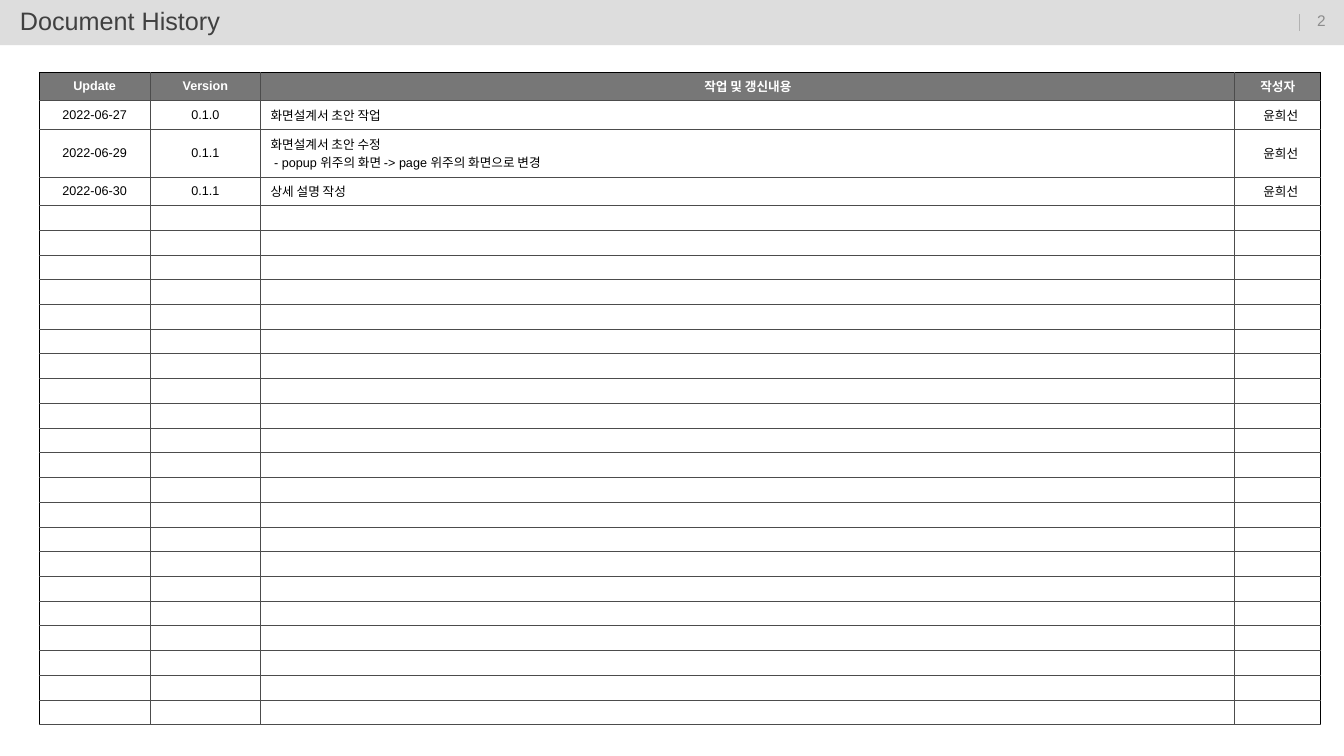
from lxml.etree import SubElement
from pptx import Presentation
from pptx.dml.color import RGBColor
from pptx.enum.shapes import MSO_CONNECTOR, MSO_SHAPE
from pptx.enum.text import MSO_ANCHOR, MSO_AUTO_SIZE, PP_ALIGN
from pptx.oxml.ns import qn
from pptx.util import Cm, Pt

BLACK = RGBColor(0x00, 0x00, 0x00)
WHITE = RGBColor(0xFF, 0xFF, 0xFF)
BAR = RGBColor(0xDD, 0xDD, 0xDD)
DIVIDER = RGBColor(0xB2, 0xB2, 0xB2)
PAGE = RGBColor(0x8C, 0x8C, 0x8C)
TITLE = RGBColor(0x40, 0x40, 0x40)
HEAD = RGBColor(0x77, 0x77, 0x77)
GRID = RGBColor(0x4C, 0x4C, 0x4C)

WIDTH, HEIGHT, BAR_HEIGHT = 33.87, 19.05, 1.14
COLUMNS = [2.79, 2.79, 24.55, 2.16]
HEADINGS = ["Update", "Version", "작업 및 갱신내용", "작성자"]
HISTORY = [
    ["2022-06-27", "0.1.0", "화면설계서 초안 작업", "윤희선"],
    ["2022-06-29", "0.1.1",
     "화면설계서 초안 수정\n - popup 위주의 화면 -> page 위주의 화면으로 변경", "윤희선"],
    ["2022-06-30", "0.1.1", "상세 설명 작성", "윤희선"],
]
BLANK_ROWS = 21
ROW_HEIGHTS = [0.72, 0.72, 1.2, 0.72] + [0.62] * BLANK_ROWS


class SlideBuilder:
    font = "Arial"
    line_width = Pt(0.75)
    text_size = 9

    def __init__(self, prs):
        self.s = prs.slides.add_slide(prs.slide_layouts[5])

    def run(self, p, text, size, color, bold=False):
        r = p.add_run()
        r.text = text
        r.font.name = self.font
        r.font.size = Pt(size)
        r.font.bold = bold
        r.font.color.rgb = color

    def bar(self, x, y, w, h, color):
        sp = self.s.shapes.add_shape(MSO_SHAPE.RECTANGLE, Cm(x), Cm(y), Cm(w), Cm(h))
        sp.shadow.inherit = False
        sp.fill.solid()
        sp.fill.fore_color.rgb = color
        sp.line.fill.background()
        # Send behind the title placeholder
        self.s.shapes.element.insert(2, sp.element)

    def title(self, text, x, y, w, h):
        sp = self.s.shapes.title
        sp.left, sp.top, sp.width, sp.height = Cm(x), Cm(y), Cm(w), Cm(h)
        tf = sp.text_frame
        tf.word_wrap = True
        tf.auto_size = MSO_AUTO_SIZE.NONE
        tf.vertical_anchor = MSO_ANCHOR.MIDDLE
        tf.margin_left, tf.margin_right = Cm(0.5), Cm(0.25)
        tf.margin_top = tf.margin_bottom = Cm(0.13)
        p = tf.paragraphs[0]
        p.alignment = PP_ALIGN.LEFT
        p.line_spacing = 0.9
        p.space_before = Pt(10)
        self.run(p, text, 18, TITLE)

    def line(self, x1, y1, x2, y2, color):
        c = self.s.shapes.add_connector(
            MSO_CONNECTOR.STRAIGHT, Cm(x1), Cm(y1), Cm(x2), Cm(y2))
        c.line.color.rgb = color
        c.line.width = self.line_width
        SubElement(c.element.spPr, qn("a:effectLst"))

    def text(self, text, x, y, w, h, size, color):
        tf = self.s.shapes.add_textbox(Cm(x), Cm(y), Cm(w), Cm(h)).text_frame
        tf.word_wrap = True
        tf.vertical_anchor = MSO_ANCHOR.MIDDLE
        p = tf.paragraphs[0]
        p.alignment = PP_ALIGN.CENTER
        self.run(p, text, size, color)

    def table(self, x, y, widths, heights, rows):
        table = self.s.shapes.add_table(
            len(heights), len(widths), Cm(x), Cm(y),
            Cm(sum(widths)), Cm(sum(heights))).table
        table.first_row = table.horz_banding = False
        for column, width in zip(table.columns, widths):
            column.width = Cm(width)
        last = len(widths) - 1
        for i, (height, texts) in enumerate(zip(heights, rows)):
            table.rows[i].height = Cm(height)
            for j, text in enumerate(texts):
                cell = table.cell(i, j)
                self.borders(cell, {"L": BLACK if j == 0 else GRID,
                                    "R": BLACK if j == last else GRID,
                                    "T": BLACK if i == 0 else GRID,
                                    "B": GRID})
                self.cell(cell, text, i == 0, j)

    def cell(self, cell, text, is_head, column):
        cell.vertical_anchor = MSO_ANCHOR.MIDDLE
        is_author = column == 3 and not is_head and text
        cell.margin_left = cell.margin_right = Cm(0 if is_author else 0.25)
        cell.margin_top = cell.margin_bottom = Cm(0 if column == 3 else 0.12)
        if is_head:
            cell.fill.solid()
            cell.fill.fore_color.rgb = HEAD
        else:
            cell.fill.background()
        tf = cell.text_frame
        for n, line in enumerate(text.split("\n")):
            p = tf.add_paragraph() if n else tf.paragraphs[0]
            centred = is_head or column != 2
            p.alignment = PP_ALIGN.CENTER if centred else PP_ALIGN.LEFT
            if is_author:
                pPr = p._p.get_or_add_pPr()
                pPr.set("marL", str(Cm(0.23)))
                pPr.set("indent", str(Cm(-0.08)))
            if line:
                self.run(p, line, self.text_size, WHITE if is_head else BLACK, is_head)
            else:
                # Keeps blank rows as low as the text size allows
                SubElement(p._p, qn("a:endParaRPr"), sz=str(self.text_size * 100))

    def borders(self, cell, colors):
        tcPr = cell._tc.get_or_add_tcPr()
        for side, color in colors.items():
            ln = SubElement(tcPr, qn(f"a:ln{side}"), w=str(self.line_width))
            fill = SubElement(ln, qn("a:solidFill"))
            SubElement(fill, qn("a:srgbClr"), val=str(color))


def main():
    prs = Presentation()
    prs.slide_width, prs.slide_height = Cm(WIDTH), Cm(HEIGHT)
    slide = SlideBuilder(prs)

    # Header band with title and page number
    slide.bar(0, 0, WIDTH, BAR_HEIGHT, BAR)
    slide.title("Document History", 0, 0, 30.5, BAR_HEIGHT)
    slide.line(32.74, 0.36, 32.74, 0.79, DIVIDER)
    slide.text("2", 32.74, 0, 1.12, 1.02, 11, PAGE)

    # Revision table
    blanks = [[""] * len(COLUMNS)] * BLANK_ROWS
    slide.table(0.99, 1.82, COLUMNS, ROW_HEIGHTS, [HEADINGS] + HISTORY + blanks)

    prs.save("out.pptx")


if __name__ == "__main__":
    main()
